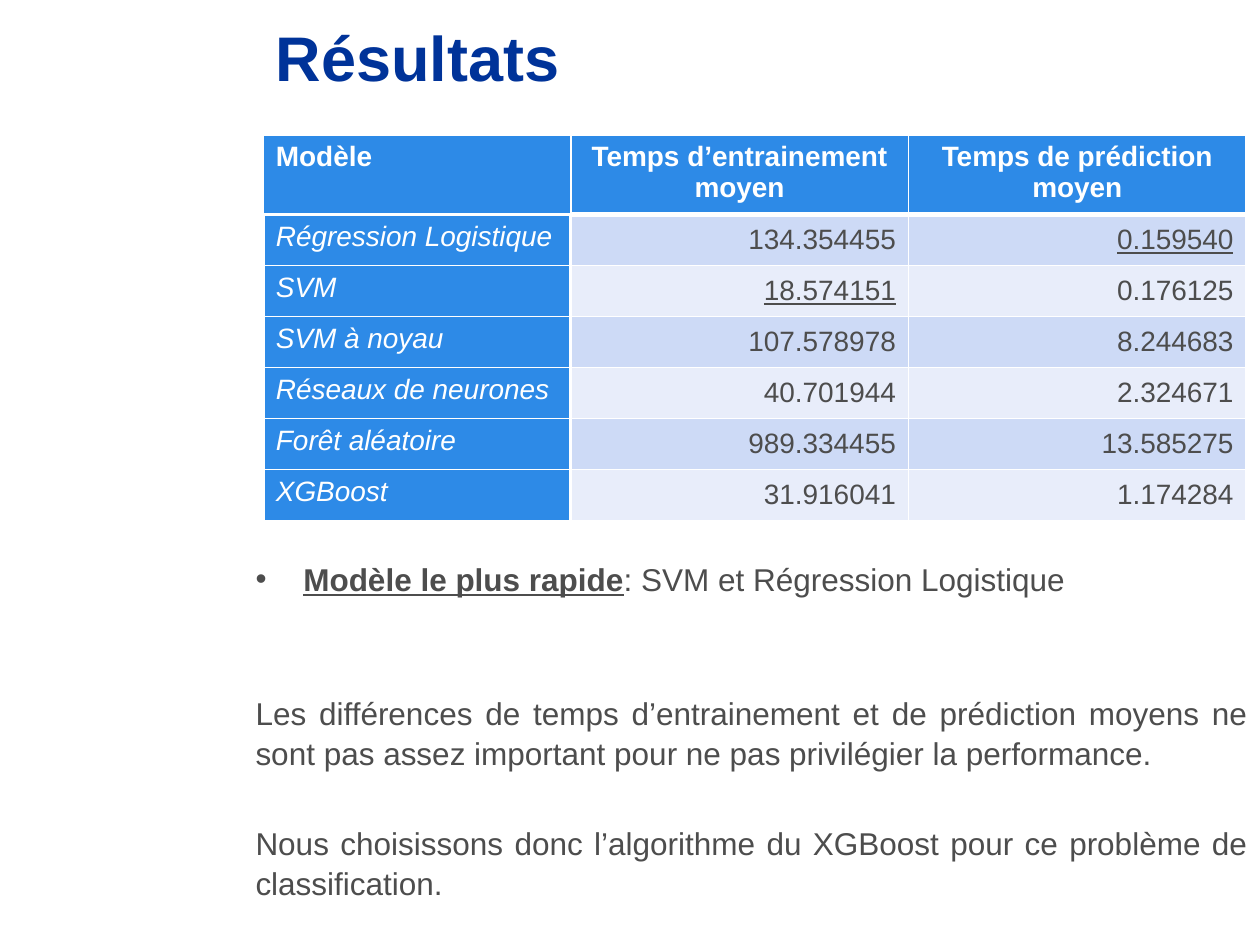
"""Build the results slide: title, timing table and conclusions."""
from dataclasses import dataclass
from typing import Any

from lxml import etree
from pptx import Presentation
from pptx import util as u
from pptx.dml.color import RGBColor
from pptx.enum import text
from pptx.oxml import ns

W, H = 10, 7.5
FONT = "Arial"
NAVY, BLUE, WHITE, GREY = "003399", "2D8AE7", "FFFFFF", "4D4D4D"
BANDS = "CDDAF6", "E8EDFA"
AL, ANC = text.PP_ALIGN, text.MSO_ANCHOR
COLS = 2.44, 2.68, 2.68
HEAD_H, BODY_H = 0.58, 2.43
HEADER = "Modèle", "Temps d’entrainement moyen", "Temps de prédiction moyen"
ROWS = (
    ("Régression Logistique", "134.354455", "0.159540"),
    ("SVM", "18.574151", "0.176125"),
    ("SVM à noyau", "107.578978", "8.244683"),
    ("Réseaux de neurones", "40.701944", "2.324671"),
    ("Forêt aléatoire", "989.334455", "13.585275"),
    ("XGBoost", "31.916041", "1.174284"),
)


@dataclass
class Run:
    """A stretch of text with its own font values."""
    text: str
    size: int
    color: str
    bold: bool = False
    italic: bool = False
    underline: bool = False


@dataclass
class Para:
    """A paragraph with its runs and layout."""
    runs: list[Run]
    align: Any = AL.LEFT
    before: int = 0
    spacing: float = 1.0
    bullet: bool = False


def rgb(value: str) -> RGBColor:
    """Turn a hex string into a colour."""
    return RGBColor.from_string(value)


def apply(obj: Any, values: dict[str, Any]) -> None:
    """Set each named attribute on an object."""
    for name, value in values.items():
        setattr(obj, name, value)


def sub(parent: Any, tag: str, **attrs: str) -> Any:
    """Append a drawing element to a parent."""
    return etree.SubElement(parent, ns.qn(tag), attrs)


def write(tf: Any, paras: list[Para]) -> None:
    """Fill a text frame with paragraphs."""
    for i, para in enumerate(paras):
        p = tf.add_paragraph() if i else tf.paragraphs[0]
        apply(p, {"alignment": para.align, "space_before": u.Pt(para.before),
                  "line_spacing": para.spacing})
        if para.bullet:
            pPr = p._p.get_or_add_pPr()
            pPr.set("marL", str(u.Inches(0.38)))
            pPr.set("indent", str(-u.Inches(0.38)))
            sub(pPr, "a:buFont", typeface=FONT)
            sub(pPr, "a:buChar", char="•")
        for run in para.runs:
            r = p.add_run()
            r.text = run.text
            apply(r.font, {"name": FONT, "size": u.Pt(run.size), "bold": run.bold,
                           "italic": run.italic, "underline": run.underline})
            r.font.color.rgb = rgb(run.color)


def add_text(s: Any, box: tuple[float, ...], paras: list[Para], anchor: Any) -> None:
    """Add a wrapped text box; box holds inches."""
    tf = s.shapes.add_textbox(*map(u.Inches, box)).text_frame
    apply(tf, {"word_wrap": True, "vertical_anchor": anchor})
    write(tf, paras)


def set_cell(cell: Any, para: Para, fill: str, anchor: Any,
             borders: dict[str, float]) -> None:
    """Write, border and fill one table cell."""
    write(cell.text_frame, [para])
    cell.vertical_anchor = anchor
    tcPr = cell._tc.get_or_add_tcPr()
    for side in "LRTB":
        ln = sub(tcPr, f"a:ln{side}", w=str(u.Pt(borders.get(side, 1))))
        sub(sub(ln, "a:solidFill"), "a:srgbClr", val=WHITE)
    cell.fill.solid()
    cell.fill.fore_color.rgb = rgb(fill)


def add_timings(s: Any, left: float, top: float) -> None:
    """Add the table of timings, underlining the fastest of each column."""
    frame = s.shapes.add_table(len(ROWS) + 1, len(COLS), *map(
        u.Inches, (left, top, sum(COLS), HEAD_H + BODY_H)))
    table = frame.table
    for col, width in zip(table.columns, COLS):
        col.width = u.Inches(width)
    for i, row in enumerate(table.rows):
        row.height = u.Inches(BODY_H / len(ROWS) if i else HEAD_H)
    best = [min(col, key=float) for col in list(zip(*ROWS))[1:]]
    for c, label in enumerate(HEADER):
        para = Para([Run(label, 16, WHITE, bold=True)], AL.CENTER if c else AL.LEFT)
        set_cell(table.cell(0, c), para, BLUE, ANC.TOP, {"B": 3 if c else 2.25})
    for i, (model, *times) in enumerate(ROWS):
        edges = {"L": 2.25, "R": 2.25, "T": 1 if i else 2.25}
        set_cell(table.cell(i + 1, 0), Para([Run(model, 16, WHITE, italic=True)]),
                 BLUE, ANC.TOP, edges)
        for c, value in enumerate(times):
            run = Run(value, 16, GREY, underline=value == best[c])
            set_cell(table.cell(i + 1, c + 1), Para([run], AL.RIGHT), BANDS[i % 2],
                     ANC.MIDDLE, {"L": 1 if c else 2.25, "T": 1 if i else 3})


def main() -> None:
    """Build and save the slide."""
    prs = Presentation()
    apply(prs, {"slide_width": u.Inches(W), "slide_height": u.Inches(H)})
    s = prs.slides.add_slide(prs.slide_layouts[6])
    add_text(s, (2.09, 0.05, 7.17, 0.79),
             [Para([Run("Résultats", 36, NAVY, bold=True)])], ANC.MIDDLE)
    add_timings(s, 2.09, 1.07)
    add_text(s, (1.93, 4.38, W - 1.93, 3), [
        Para([Run("Modèle le plus rapide", 18, GREY, bold=True, underline=True),
              Run(": SVM et Régression Logistique", 18, GREY)],
             AL.JUSTIFY, 0, 1.05, True),
        Para([Run("Les différences de temps d’entrainement et de prédiction moyens ne "
                  "sont pas assez important pour ne pas privilégier la performance.",
                  18, GREY)], AL.JUSTIFY, 54, 1.05),
        Para([Run("Nous choisissons donc l’algorithme du XGBoost pour ce problème de "
                  "classification.", 18, GREY)], AL.JUSTIFY, 29, 1.05),
    ], ANC.TOP)
    prs.save("out.pptx")


if __name__ == "__main__":
    main()
